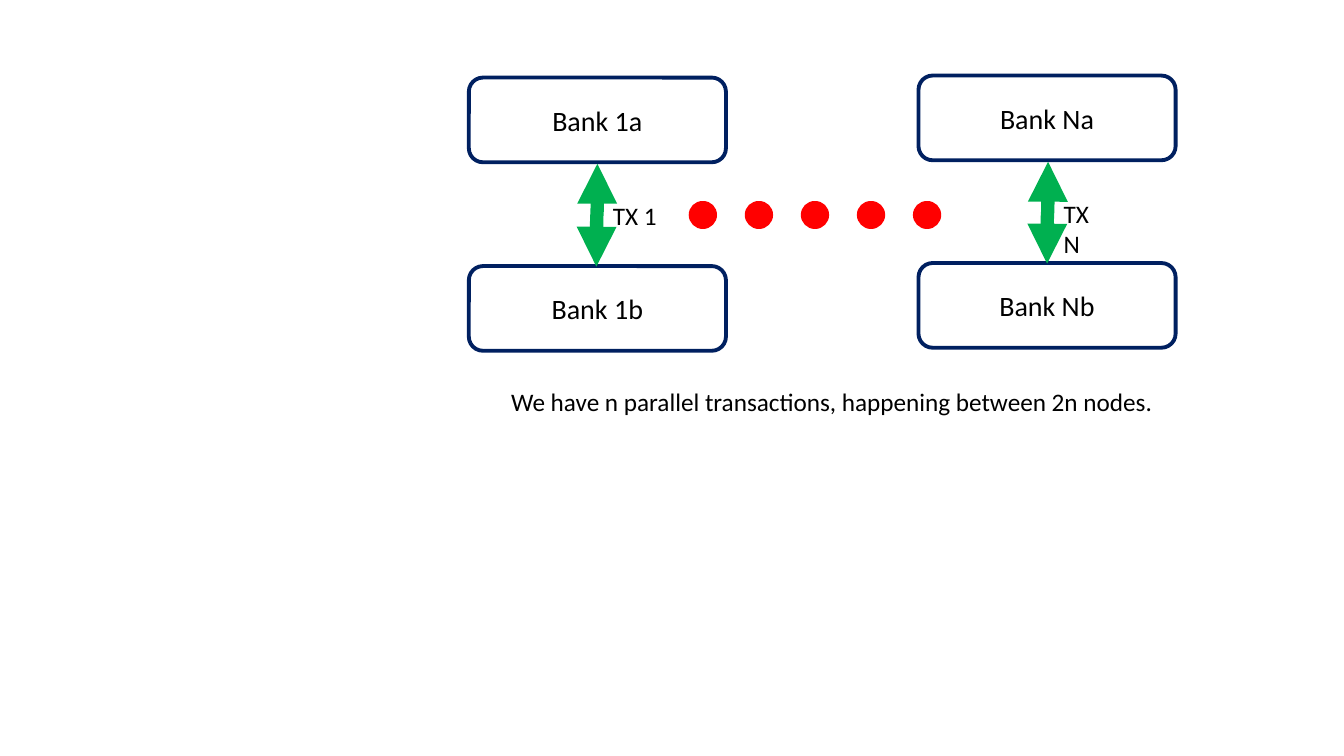
from lxml import etree
from pptx import Presentation
from pptx.dml.color import RGBColor
from pptx.enum.dml import MSO_LINE
from pptx.enum.shapes import MSO_CONNECTOR, MSO_SHAPE
from pptx.enum.text import MSO_ANCHOR, MSO_AUTO_SIZE, PP_ALIGN
from pptx.oxml.ns import qn
from pptx.util import Inches, Pt

ROUNDED = MSO_SHAPE.ROUNDED_RECTANGLE
CURVE, STRAIGHT = MSO_CONNECTOR.CURVE, MSO_CONNECTOR.STRAIGHT
ROUND_DOT = MSO_LINE.ROUND_DOT
MIDDLE, CENTER = MSO_ANCHOR.MIDDLE, PP_ALIGN.CENTER
FIT_TEXT = MSO_AUTO_SIZE.SHAPE_TO_FIT_TEXT

WHITE = RGBColor(0xFF, 0xFF, 0xFF)
BLACK = RGBColor(0x00, 0x00, 0x00)
NAVY = RGBColor(0x00, 0x20, 0x60)
GREEN = RGBColor(0x00, 0xB0, 0x50)
RED = RGBColor(0xFF, 0x00, 0x00)

BANK_WIDTH, BANK_HEIGHT = 2.55, 0.84
ARROW_BEND = 0.01


def add_line(shapes, kind, start, end, color, width):
    """Add a shadowless connector and return it with its a:ln element."""
    connector = shapes.add_connector(kind, *map(Inches, start + end))
    connector.line.color.rgb = color
    connector.line.width = Pt(width)
    properties = connector._element.spPr
    etree.SubElement(properties, qn("a:effectLst"))
    return connector, properties.find(qn("a:ln"))


def write(frame, text, size):
    run = frame.paragraphs[0].add_run()
    run.text = text
    run.font.name = "Calibri"
    run.font.size = Pt(size)
    run.font.color.rgb = BLACK


prs = Presentation()
prs.slide_width, prs.slide_height = Inches(13.33), Inches(7.5)
slide = prs.slides.add_slide(prs.slide_layouts[6])

# Bank pairs: suffix, left, tops of both banks, arrow centre
pairs = [
    ("N", 9.11, (0.75, 2.61), 10.39),
    ("1", 4.65, (0.77, 2.64), 5.92),
]
for number, left, tops, arrow_x in pairs:
    pair = slide.shapes.add_group_shape().shapes
    for letter, top in zip("ab", tops):
        bank = pair.add_shape(ROUNDED, Inches(left), Inches(top),
                              Inches(BANK_WIDTH), Inches(BANK_HEIGHT))
        bank.shadow.inherit = False
        bank.fill.solid()
        bank.fill.fore_color.rgb = WHITE
        bank.line.color.rgb = NAVY
        bank.line.width = Pt(2.75)
        bank.text_frame.vertical_anchor = MIDDLE
        bank.text_frame.paragraphs[0].alignment = CENTER
        write(bank.text_frame, f"Bank {number}{letter}", 20)

    # The curve is laid out horizontally, then turned a quarter to run downwards
    gap_top, gap_bottom = tops[0] + BANK_HEIGHT + 0.01, tops[1]
    middle = (gap_top + gap_bottom) / 2
    half = (gap_bottom - gap_top) / 2
    arrow, outline = add_line(pair, CURVE, (arrow_x - half, middle),
                              (arrow_x + half, middle + ARROW_BEND), GREEN, 9.5)
    arrow._element.spPr.find(qn("a:xfrm")).set("rot", str(90 * 60000))
    for end in ("a:headEnd", "a:tailEnd"):
        etree.SubElement(outline, qn(end), type="triangle")

    label = pair.add_textbox(Inches(arrow_x + 0.06), Inches(middle - 0.19),
                             Inches(0.66), Inches(0.4))
    label.text_frame.word_wrap = False
    label.text_frame.auto_size = FIT_TEXT
    write(label.text_frame, f"TX {number}", 18)

ellipsis, outline = add_line(slide.shapes, STRAIGHT, (6.97, 2.13), (9.62, 2.13), RED, 20)
ellipsis.line.dash_style = ROUND_DOT
outline.set("cap", "rnd")

summary = slide.shapes.add_textbox(Inches(4.97), Inches(3.78), Inches(6.65), Inches(0.4))
summary.text_frame.word_wrap = False
summary.text_frame.auto_size = FIT_TEXT
write(summary.text_frame, "We have n parallel transactions, happening between 2n nodes.", 18)

prs.save("out.pptx")
